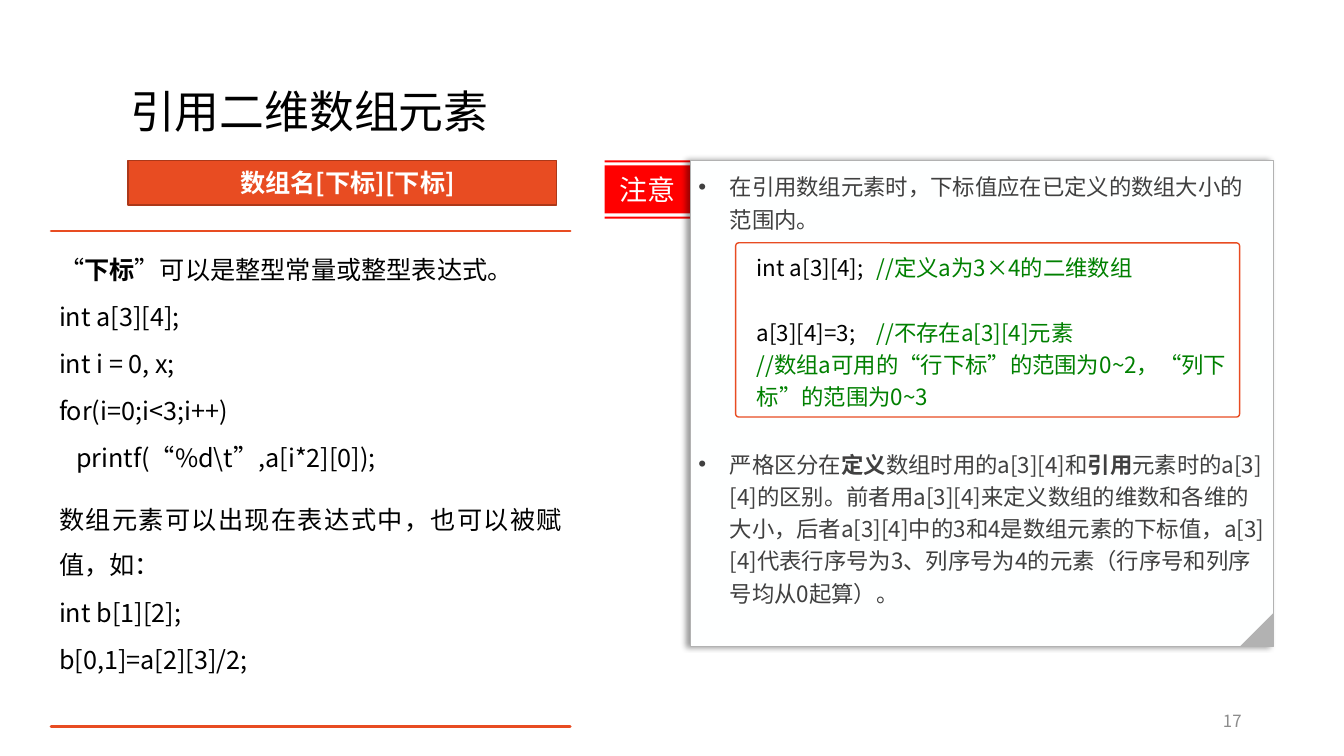
from lxml.etree import SubElement
from pptx import Presentation
from pptx.dml.color import RGBColor
from pptx.enum.lang import MSO_LANGUAGE_ID as Lang
from pptx.enum.shapes import MSO_SHAPE as Shape
from pptx.enum.text import MSO_ANCHOR as Anchor, PP_ALIGN as Align
from pptx.oxml.ns import qn
from pptx.util import Cm, Pt

FONT = "Noto Sans CJK SC"
COLOURS = {
    "black": "000000", "white": "FFFFFF", "paper": "FEFFFF", "red": "FF0000",
    "orange": "E84C22", "rust": "AC3819", "silver": "B2B2B2",
    "body": "404040", "comment": "008000", "number": "8C8C8C",
}


def colour(name):
    return RGBColor.from_string(COLOURS[name])


def write(box, paragraphs, size, ink, margins=(0.25, 0.13, 0.25, 0.13),
          anchor=Anchor.TOP, **common):
    """Fill a shape with (paragraph format, [(text, font format), ...]) pairs."""
    frame = box.text_frame
    frame.word_wrap = True
    frame.vertical_anchor = anchor
    for side, margin in zip(("left", "top", "right", "bottom"), margins):
        setattr(frame, f"margin_{side}", Cm(margin))
    for index, (layout, spans) in enumerate(paragraphs):
        para = frame.paragraphs[0] if index == 0 else frame.add_paragraph()
        for key, value in {"alignment": Align.LEFT, **common, **layout}.items():
            setattr(para, key, value)
        for text, extra in spans:
            span = para.add_run()
            span.text = text
            look = {"name": FONT, "size": Pt(size), "bold": False,
                    "language_id": Lang.SIMPLIFIED_CHINESE, **extra}
            span_ink = look.pop("ink", ink)
            for key, value in look.items():
                setattr(span.font, key, value)
            span.font.color.rgb = colour(span_ink)
            SubElement(span.font._element, qn("a:ea"), typeface=FONT)


deck = Presentation()
deck.slide_width, deck.slide_height = Cm(33.87), Cm(19.05)
page = deck.slides.add_slide(deck.slide_layouts[6])
shapes = page.shapes

# Title and page number
title = shapes.add_textbox(Cm(3.03), Cm(1.03), Cm(16.46), Cm(3.68))
write(title, [({}, [("引用二维数组元素", {})])], 32, "black",
      anchor=Anchor.MIDDLE, line_spacing=0.9)
number = shapes.add_textbox(Cm(23.92), Cm(17.65), Cm(7.62), Cm(1.02))
write(number, [({}, [("17", {})])], 12, "number",
      anchor=Anchor.MIDDLE, alignment=Align.RIGHT)

# Striped flag and ruled panel: left, right, and the top and bottom of each band
outlines = {
    "flag": (15.24, 17.4, [(4.04, 4.09), (4.17, 5.38), (5.46, 5.51)]),
    "panel": (1.29, 14.37, [(5.82, 5.82), (18.31, 18.31)]),
}
parts = {}
for name, (left, right, bands) in outlines.items():
    builder = shapes.build_freeform(Cm(left), Cm(bands[0][0]))
    for top, bottom in bands:
        builder.move_to(Cm(left), Cm(top))
        builder.add_line_segments([(Cm(right), Cm(top)), (Cm(right), Cm(bottom)),
                                   (Cm(left), Cm(bottom))], close=True)
    parts[name] = builder.convert_to_shape()

# Preset shapes: kind, left, top, width, height
presets = {
    "syntax": (Shape.RECTANGLE, 3.23, 4.04, 10.8, 1.13),
    "card": (Shape.RECTANGLE, 17.4, 4.04, 14.7, 12.25),
    "fold": (Shape.RIGHT_TRIANGLE, 31.25, 15.45, 0.84, 0.84),
    "code": (Shape.ROUNDED_RECTANGLE, 18.54, 6.12, 12.7, 4.39),
}
for name, (kind, *place) in presets.items():
    parts[name] = shapes.add_shape(kind, *map(Cm, place))
parts["fold"].rotation = 270
parts["code"].adjustments[0] = 0.018

# Fill, line and line width
paints = {
    "syntax": ("orange", "rust", 1),
    "panel": (None, "orange", 2),
    "flag": ("red", None, 0),
    "card": ("paper", "silver", 0.75),
    "fold": ("silver", None, 0),
    "code": ("white", "orange", 1),
}
for name, (fill, line, weight) in paints.items():
    part = parts[name]
    part.shadow.inherit = False
    if fill:
        part.fill.solid()
        part.fill.fore_color.rgb = colour(fill)
    else:
        part.fill.background()
    if line:
        part.line.color.rgb = colour(line)
        part.line.width = Pt(weight)
    else:
        part.line.fill.background()

# Soft shadow on the left of the card
effects = parts["card"]._element.spPr.find(qn("a:effectLst"))
shadow = SubElement(effects, qn("a:outerShdw"), blurRad=str(Pt(4)),
                    dist=str(Pt(3)), dir="10800000", algn="r", rotWithShape="0")
shade = SubElement(shadow, qn("a:srgbClr"), val=COLOURS["black"])
SubElement(shade, qn("a:alpha"), val="40000")

# Syntax bar and warning flag
write(parts["syntax"], [({}, [("数组名[下标][下标]", {"bold": True})])], 18, "white",
      (0.51, 0.13, 0.25, 0.13), Anchor.MIDDLE, alignment=Align.CENTER)
write(parts["flag"], [({}, [("注意", {})])], 20, "paper",
      anchor=Anchor.MIDDLE, alignment=Align.CENTER)

# Left panel text
gap = {"space_before": Pt(6)}
loose = {"line_spacing": 1.5}
write(parts["panel"], [
    (loose,
     [("“", {}), ("下标", {"bold": True}), ("”可以是整型常量或整型表达式。", {})]),
    (gap, [("int a[3][4];", {})]),
    (gap, [("int i = 0, x;", {})]),
    (gap, [("for(i=0;i<3;i++)", {})]),
    (gap, [("   printf(“%d\\t”,a[i*2][0]);", {})]),
    ({**loose, **gap}, [("数组元素可以出现在表达式中，也可以被赋值，如：", {})]),
    (gap, [("int b[1][2];", {})]),
    (gap, [("b[0,1]=a[2][3]/2;", {})]),
], 18, "black", (0.2, 0.2, 0.2, 0.2), alignment=Align.JUSTIFY, space_after=Pt(6))

# Card notes, with room for the code box between them
strong = {"bold": True}
write(parts["card"], [
    ({}, [("在引用数组元素时，下标值应在已定义的数组大小的范围内。", {})]),
    ({"space_before": Pt(152)}, [
        ("严格区分在", {}), ("定义", strong), ("数组时用的a[3][4]和", {}),
        ("引用", strong),
        ("元素时的a[3][4]的区别。前者用a[3][4]来定义数组的维数和各维的大小，"
         "后者a[3][4]中的3和4是数组元素的下标值，a[3][4]代表行序号为3、"
         "列序号为4的元素（行序号和列序号均从0起算）。", {})]),
], 16, "body", (0.2, 0.2, 0.2, 0.2), line_spacing=1.2)
for para in parts["card"].text_frame.paragraphs:
    layout = para._p.get_or_add_pPr()
    layout.set("marL", str(Cm(0.79)))
    layout.set("indent", str(Cm(-0.79)))
    SubElement(layout, qn("a:buFont"), typeface="Arial")
    SubElement(layout, qn("a:buChar"), char="•")

# Code sample with aligned comments
green = {"ink": "comment"}
write(parts["code"], [
    ({}, [("int a[3][4];\t", {}), ("//定义a为3×4的二维数组", green)]),
    ({"space_before": Pt(23)},
     [("a[3][4]=3;\t", {}), ("//不存在a[3][4]元素", green)]),
    ({}, [("//数组a可用的“行下标”的范围为0~2，“列下标”的范围为0~3", green)]),
], 16, "black", (0.51, 0.13, 0.25, 0.13), line_spacing=1.2)
for para in parts["code"].text_frame.paragraphs[:2]:
    tabs = SubElement(para._p.get_or_add_pPr(), qn("a:tabLst"))
    SubElement(tabs, qn("a:tab"), pos=str(Cm(3.02)), algn="l")

deck.save("out.pptx")
